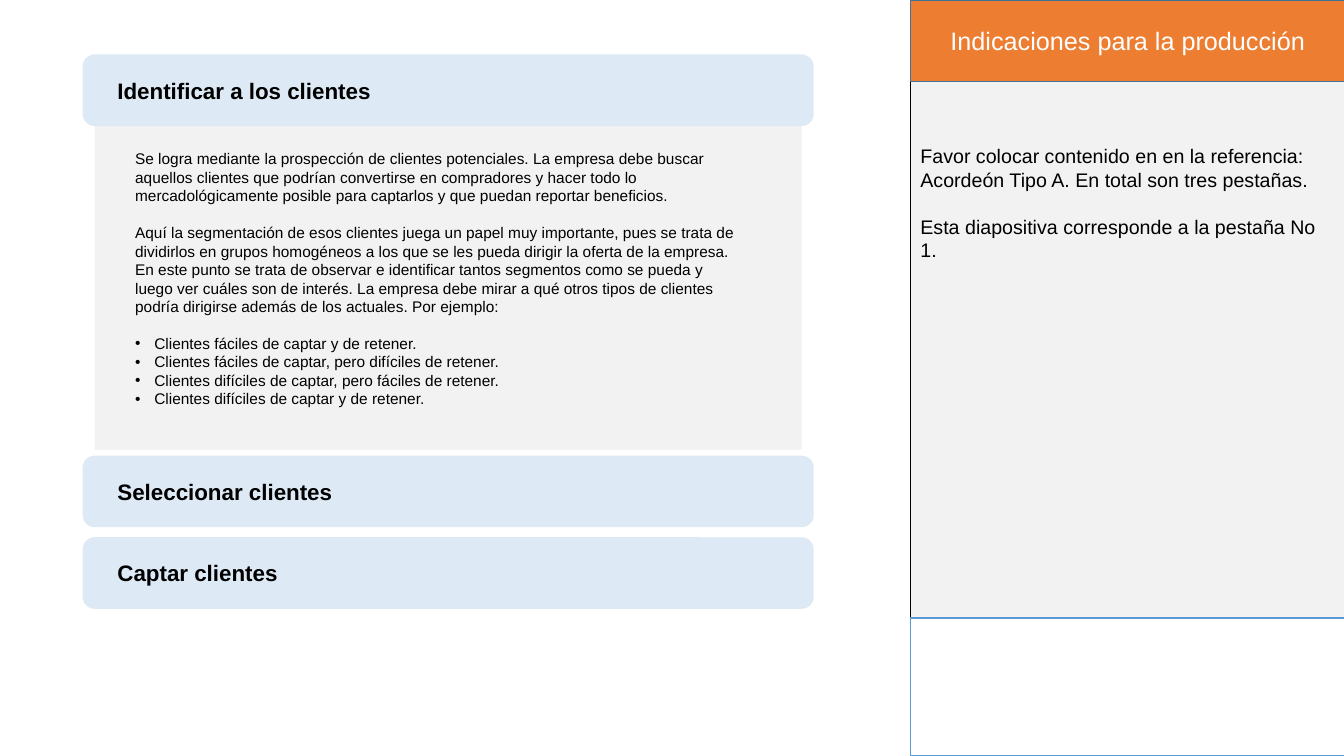
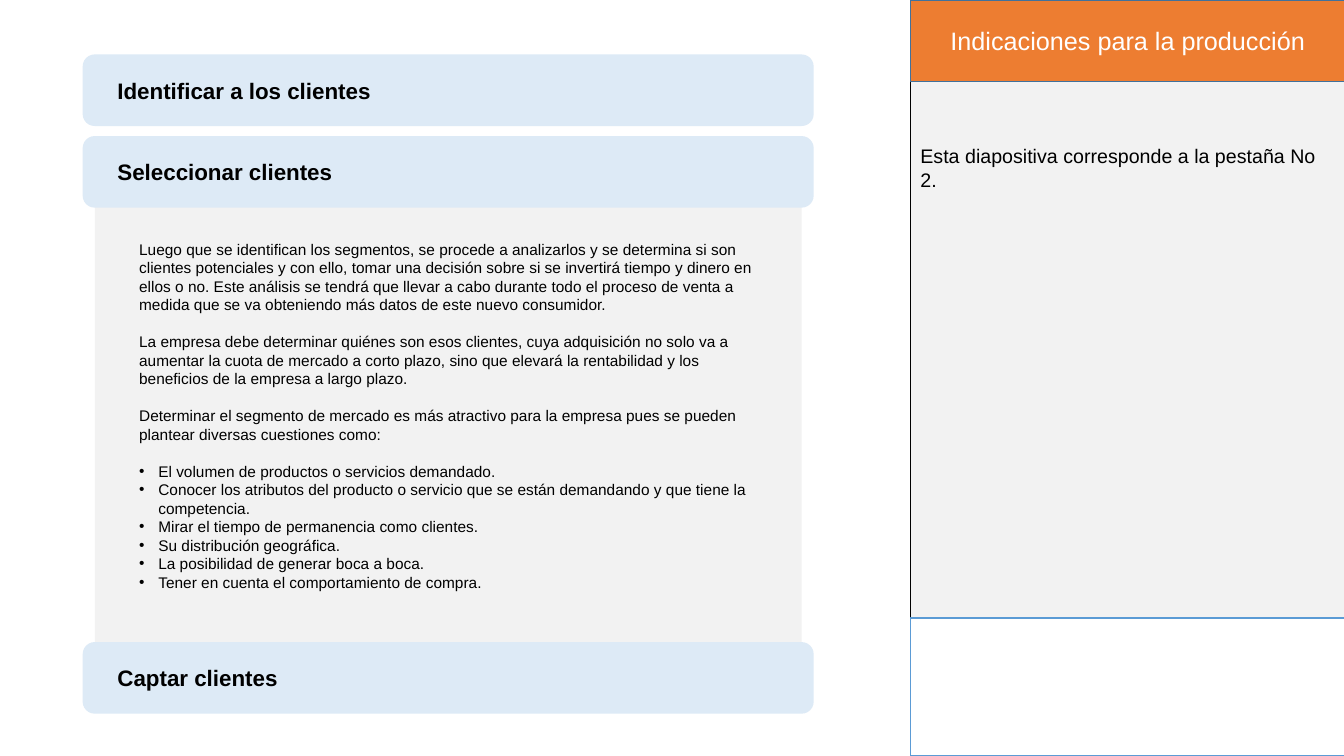
from lxml import etree
from pptx import Presentation
from pptx.dml.color import RGBColor
from pptx.enum.shapes import MSO_SHAPE
from pptx.enum.text import MSO_ANCHOR, MSO_AUTO_SIZE, PP_ALIGN
from pptx.oxml.ns import qn
from pptx.util import Inches, Pt

RECTANGLE = MSO_SHAPE.RECTANGLE
ROUNDED = MSO_SHAPE.ROUNDED_RECTANGLE
TOP, MIDDLE = MSO_ANCHOR.TOP, MSO_ANCHOR.MIDDLE
LEFT, CENTER = PP_ALIGN.LEFT, PP_ALIGN.CENTER
NO_AUTOFIT = MSO_AUTO_SIZE.NONE

BLACK, WHITE, GRAY = "000000", "FFFFFF", "F2F2F2"
ORANGE, PALE_BLUE = "ED7D31", "DDEAF6"
HEADER_LINE, FOOTER_LINE = "42719B", "5B9BD5"

HEADER_TEXT = {"size": Pt(18), "name": "Arial", "bold": False}
TAB_TEXT = {"size": Pt(16), "name": "Arial", "bold": True}
NOTE_TEXT = {"size": Pt(14), "name": "Arial", "bold": False}
BODY_TEXT = {"size": Pt(11), "name": "Arial", "bold": False}
LINE_FACTOR = 1.2

SIDEBAR_BOX = (9.03, 0, 4.31, 7.5)
ACCORDION_BOX = (0.82, 0.54, 7.25)
TAB_HEIGHT, TAB_PITCH = 0.71, 0.81
PANEL_INSET, PANEL_OFFSET = 0.12, 0.6
BULLET_INDENT = 0.19

TABS = ["Identificar a los clientes", "Seleccionar clientes", "Captar clientes"]
SLIDES = [
    {
        "open_tab": 0,
        "panel_height": 3.32,
        "next_gap": 0.06,
        "body_box": (0.3, 0.29, 6.16, 2.69),
        "notes": [
            "Favor colocar contenido en en la referencia: Acordeón Tipo A. En total son tres pestañas.",
            "Esta diapositiva corresponde a la pestaña No 1.",
        ],
        "paragraphs": [
            "Se logra mediante la prospección de clientes potenciales. La empresa debe buscar "
            "aquellos clientes que podrían convertirse en compradores y hacer todo lo "
            "mercadológicamente posible para captarlos y que puedan reportar beneficios.",
            "Aquí la segmentación de esos clientes juega un papel muy importante, pues se trata de "
            "dividirlos en grupos homogéneos a los que se les pueda dirigir la oferta de la empresa. "
            "En este punto se trata de observar e identificar tantos segmentos como se pueda y "
            "luego ver cuáles son de interés. La empresa debe mirar a qué otros tipos de clientes "
            "podría dirigirse además de los actuales. Por ejemplo:",
        ],
        "bullets": [
            "Clientes fáciles de captar y de retener.",
            "Clientes fáciles de captar, pero difíciles de retener.",
            "Clientes difíciles de captar, pero fáciles de retener.",
            "Clientes difíciles de captar y de retener.",
        ],
    },
    {
        "open_tab": 1,
        "panel_height": 4.45,
        "next_gap": -0.03,
        "body_box": (0.34, 0.38, 6.34, 3.62),
        "notes": ["Esta diapositiva corresponde a la pestaña No 2."],
        "paragraphs": [
            "Luego que se identifican los segmentos, se procede a analizarlos y se determina si son "
            "clientes potenciales y con ello, tomar una decisión sobre si se invertirá tiempo y dinero en "
            "ellos o no. Este análisis se tendrá que llevar a cabo durante todo el proceso de venta a "
            "medida que se va obteniendo más datos de este nuevo consumidor.",
            "La empresa debe determinar quiénes son esos clientes, cuya adquisición no solo va a "
            "aumentar la cuota de mercado a corto plazo, sino que elevará la rentabilidad y los "
            "beneficios de la empresa a largo plazo.",
            "Determinar el segmento de mercado es más atractivo para la empresa pues se pueden "
            "plantear diversas cuestiones como:",
        ],
        "bullets": [
            "El volumen de productos o servicios demandado.",
            "Conocer los atributos del producto o servicio que se están demandando y que tiene la "
            "competencia.",
            "Mirar el tiempo de permanencia como clientes.",
            "Su distribución geográfica.",
            "La posibilidad de generar boca a boca.",
            "Tener en cuenta el comportamiento de compra.",
        ],
    },
]


def color(value):
    return RGBColor.from_string(value)


def paint(shape, fill, line=None):
    shape.fill.solid()
    shape.fill.fore_color.rgb = color(fill)
    if line:
        shape.line.color.rgb = color(line)
        shape.line.width = Pt(1)
    else:
        shape.line.fill.background()


def add_box(slide, kind, box, fill, line=None):
    shape = slide.shapes.add_shape(kind, *map(Inches, box))
    shape.shadow.inherit = False
    paint(shape, fill, line)
    return shape


def bring_placeholder(placeholder, box):
    values = dict(zip(("left", "top", "width", "height"), map(Inches, box)))
    for name, value in values.items():
        setattr(placeholder, name, value)
    element = placeholder.element
    element.getparent().append(element)


def set_bullet(paragraph, bulleted):
    properties = paragraph._p.get_or_add_pPr()
    indent = Inches(BULLET_INDENT) if bulleted else 0
    properties.set("marL", str(indent))
    properties.set("indent", str(-indent))
    if bulleted:
        bullet_color = etree.SubElement(properties, qn("a:buClr"))
        etree.SubElement(bullet_color, qn("a:srgbClr")).set("val", BLACK)
        etree.SubElement(properties, qn("a:buChar")).set("char", "•")
    else:
        etree.SubElement(properties, qn("a:buNone"))


def write_text(shape, paragraphs, text_format, bullets=(), text_color=BLACK,
               anchor=TOP, alignment=LEFT, margin_left=0.1):
    frame = shape.text_frame
    frame_format = {
        "word_wrap": True,
        "auto_size": NO_AUTOFIT,
        "vertical_anchor": anchor,
        "margin_left": Inches(margin_left),
    }
    for name, value in frame_format.items():
        setattr(frame, name, value)
    gap = Pt(text_format["size"].pt * LINE_FACTOR)
    for index, text in enumerate([*paragraphs, *bullets]):
        paragraph = frame.paragraphs[0] if index == 0 else frame.add_paragraph()
        starts_block = 0 < index <= len(paragraphs)
        paragraph_format = {
            "alignment": alignment,
            "space_before": gap if starts_block else Pt(0),
            "space_after": Pt(0),
        }
        for name, value in paragraph_format.items():
            setattr(paragraph, name, value)
        set_bullet(paragraph, index >= len(paragraphs))
        run = paragraph.add_run()
        run.text = text
        for name, value in text_format.items():
            setattr(run.font, name, value)
        run.font.color.rgb = color(text_color)


def add_sidebar(slide, box, notes):
    left, top, width, height = box
    add_box(slide, RECTANGLE, box, GRAY, BLACK)
    note_box = slide.shapes.add_textbox(*map(Inches, (left, top + 1.38, width, 3.3)))
    write_text(note_box, notes, NOTE_TEXT)
    title = slide.shapes.title
    bring_placeholder(title, (left, top, width, 0.81))
    paint(title, ORANGE, HEADER_LINE)
    write_text(title, ["Indicaciones para la producción"], HEADER_TEXT,
               text_color=WHITE, anchor=MIDDLE, alignment=CENTER)
    add_box(slide, RECTANGLE, (left, top + 6.13, width, height - 6.13), WHITE, FOOTER_LINE)


def add_panel(slide, box, content):
    left, top, _, _ = box
    add_box(slide, RECTANGLE, box, GRAY)
    offset_left, offset_top, width, height = content["body_box"]
    body = slide.placeholders[1]
    bring_placeholder(body, (left + offset_left, top + offset_top, width, height))
    write_text(body, content["paragraphs"], BODY_TEXT, content["bullets"])


def add_tab(slide, box, label):
    tab = add_box(slide, ROUNDED, box, PALE_BLUE)
    write_text(tab, [label], TAB_TEXT, anchor=MIDDLE, margin_left=0.31)


def add_accordion(slide, box, content):
    left, top, width = box
    for index, label in enumerate(TABS):
        next_top = top + TAB_PITCH
        if index == content["open_tab"]:
            panel_top = top + PANEL_OFFSET
            panel_box = (left + PANEL_INSET, panel_top,
                         width - 2 * PANEL_INSET, content["panel_height"])
            add_panel(slide, panel_box, content)
            next_top = panel_top + content["panel_height"] + content["next_gap"]
        add_tab(slide, (left, top, width, TAB_HEIGHT), label)
        top = next_top


def main():
    presentation = Presentation()
    presentation.slide_width = Inches(13.33)
    presentation.slide_height = Inches(7.5)
    for content in SLIDES:
        slide = presentation.slides.add_slide(presentation.slide_layouts[1])
        add_sidebar(slide, SIDEBAR_BOX, content["notes"])
        add_accordion(slide, ACCORDION_BOX, content)
    presentation.save("out.pptx")


if __name__ == "__main__":
    main()
